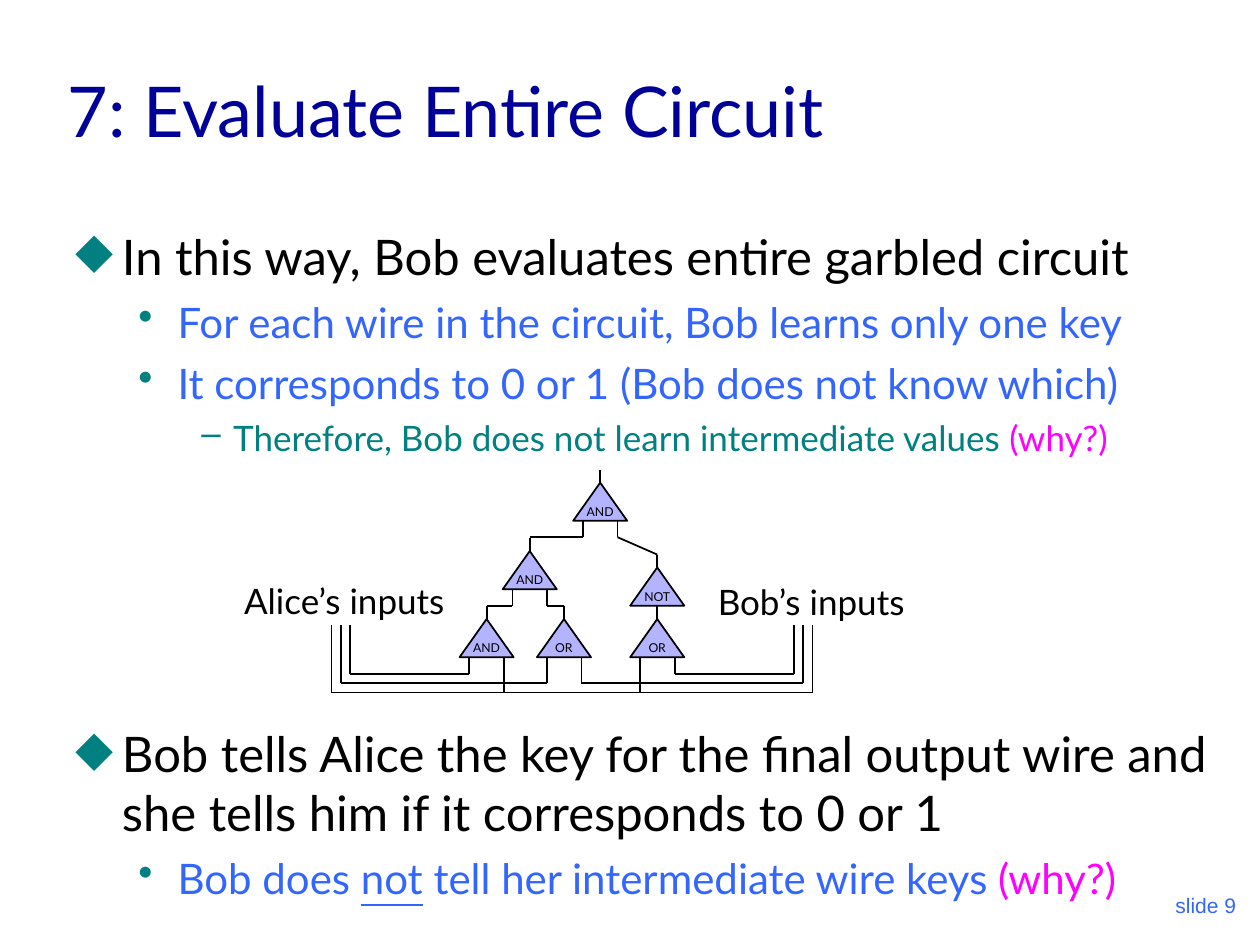
"""Build the slide on evaluating an entire garbled circuit."""
from dataclasses import dataclass

from lxml import etree
from pptx import Presentation
from pptx import util as u
from pptx.dml import color
from pptx.enum import shapes, text
from pptx.oxml import ns


@dataclass(frozen=True)
class Theme:
    """Fonts, colours and type sizes of the slide."""
    font: str = "Lato"
    footer_font: str = "Arial"
    title: str = "000099"
    ink: str = "000000"
    blue: str = "3366FF"
    teal: str = "008080"
    pink: str = "FF00FF"
    gate: str = "B3B3FF"
    title_size: float = 40
    label_size: float = 20
    footer_size: float = 12
    gate_size: float = 7
    line_width: float = 1


THEME = Theme()
LEVELS = [
    {"size": 28, "ink": THEME.ink, "bullet": "◆", "left": 0.94, "hang": 0.94, "before": 7},
    {"size": 24, "ink": THEME.blue, "bullet": "•", "left": 2.06, "hang": 0.79, "before": 6},
    {"size": 20, "ink": THEME.teal, "bullet": "–", "left": 3.18, "hang": 0.64, "before": 5},
]
GATE_WIDTH, GATE_HEIGHT = 1.09, 0.77
LEG_OFFSET, LEG_LENGTH, STEM_LENGTH = 0.35, 0.33, 0.26
INPUT_TOP, RAIL_GAP = 12.6, 0.19


def rgb(value):
    """Turn a hex string into a colour."""
    return color.RGBColor.from_string(value)


def apply_format(target, values):
    """Set every attribute named in a dict of format values."""
    for name, value in values.items():
        setattr(target, name, value)


def add_span(para, words, size, ink, font=THEME.font, **extra):
    """Append a formatted run to a paragraph."""
    span = para.add_run()
    span.text = words
    apply_format(span.font, {"name": font, "size": u.Pt(size), **extra})
    span.font.color.rgb = rgb(ink)


def add_box(page, left, top, width, height, **frame_format):
    """Add a text box and return its text frame."""
    box = page.shapes.add_textbox(u.Cm(left), u.Cm(top), u.Cm(width), u.Cm(height))
    apply_format(box.text_frame, {"word_wrap": True, **frame_format})
    return box.text_frame


def add_bullet(para, level):
    """Give a paragraph the indent, spacing and bullet of its level."""
    style = LEVELS[level]
    apply_format(para, {"level": level, "space_before": u.Pt(style["before"])})
    properties = para._p.get_or_add_pPr()
    properties.set("marL", str(u.Cm(style["left"])))
    properties.set("indent", str(-u.Cm(style["hang"])))
    tint = etree.SubElement(properties, ns.qn("a:buClr"))
    etree.SubElement(tint, ns.qn("a:srgbClr")).set("val", THEME.teal)
    etree.SubElement(properties, ns.qn("a:buChar")).set("char", style["bullet"])


def add_bullets(page, top, height, items):
    """Add a bulleted text box from (level, spans) items."""
    frame = add_box(page, 1.27, top, 23.7, height)
    for index, (level, spans) in enumerate(items):
        para = frame.add_paragraph() if index else frame.paragraphs[0]
        add_bullet(para, level)
        style = LEVELS[level]
        for words, changes in spans:
            add_span(para, words, **{"size": style["size"], "ink": style["ink"], **changes})


def add_label(page, words, left, top, width):
    """Add the name of a group of inputs."""
    para = add_box(page, left, top, width, 1.12, word_wrap=False).paragraphs[0]
    para.space_before = u.Pt(5)
    add_span(para, words, THEME.label_size, THEME.ink)


def add_wire(page, *points):
    """Draw straight wires through the points and return the last one."""
    for start, end in zip(points, points[1:]):
        wire = page.shapes.add_connector(
            shapes.MSO_CONNECTOR.STRAIGHT, *(u.Cm(value) for value in start + end))
        wire.line.width = u.Pt(THEME.line_width)
        wire.line.color.rgb = rgb(THEME.ink)
        etree.SubElement(wire._element.spPr, ns.qn("a:effectLst"))
    return wire


def add_gate(page, words, center, top, has_legs=True):
    """Add a gate with its stem and legs; return the leg ends, left then right."""
    gate = page.shapes.add_shape(
        shapes.MSO_SHAPE.ISOSCELES_TRIANGLE, u.Cm(center - GATE_WIDTH / 2), u.Cm(top),
        u.Cm(GATE_WIDTH), u.Cm(GATE_HEIGHT))
    gate.shadow.inherit = False
    gate.fill.solid()
    gate.fill.fore_color.rgb = rgb(THEME.gate)
    gate.line.color.rgb = rgb(THEME.ink)
    gate.line.width = u.Pt(THEME.line_width)
    apply_format(gate.text_frame, {
        "word_wrap": False, "vertical_anchor": text.MSO_ANCHOR.MIDDLE})
    para = gate.text_frame.paragraphs[0]
    apply_format(para, {"alignment": text.PP_ALIGN.CENTER, "space_before": u.Pt(1.8)})
    add_span(para, words, THEME.gate_size, THEME.ink)
    add_wire(page, (center, top - STEM_LENGTH), (center, top)).end_connect(gate, 0)
    base = top + GATE_HEIGHT
    ends = [(center + side * LEG_OFFSET, base + LEG_LENGTH) for side in (-1, 1)]
    if has_legs:
        for end in ends:
            add_wire(page, (end[0], base), end)
    return ends


def add_inputs(page, first, step, legs):
    """Lead a bundle of input wires along stacked rails to gate legs."""
    for index, leg in enumerate(legs):
        across = first + index * step
        rail = leg[1] + index * RAIL_GAP
        corner = (leg[0], rail)
        add_wire(page, (across, INPUT_TOP), (across, rail), corner)
        if index:
            add_wire(page, corner, leg)


def add_circuit(page):
    """Draw the gates and the wires between them."""
    low_and = add_gate(page, "AND", 9.81, 12.48)
    low_or = add_gate(page, "OR", 11.37, 12.48)
    root = add_gate(page, "AND", 12.1, 9.73)
    add_gate(page, "NOT", 13.25, 11.44, has_legs=False)
    right_or = add_gate(page, "OR", 13.25, 12.48)
    left_and = add_gate(page, "AND", 10.68, 11.11)
    add_wire(page, root[1], (13.25, 11.18))
    for leg, center in ((root[0], 10.68), (left_and[0], 9.81), (left_and[1], 11.37)):
        add_wire(page, leg, (center, leg[1]))
    add_label(page, "Alice’s inputs", 4.67, 11.56, 4.8)
    add_inputs(page, 7.06, -RAIL_GAP, [low_and[0], low_or[0], right_or[0]])
    add_label(page, "Bob’s inputs", 14.22, 11.58, 4.55)
    add_inputs(page, 16, RAIL_GAP, [right_or[1], low_or[1], low_and[1]])


def main():
    """Build and save the deck."""
    deck = Presentation()
    apply_format(deck, {"slide_width": u.Cm(25.4), "slide_height": u.Cm(19.05)})
    page = deck.slides.add_slide(deck.slide_layouts[6])
    bottom = {"vertical_anchor": text.MSO_ANCHOR.BOTTOM}
    title = add_box(page, 1.12, 0.64, 21.59, 2.54, **bottom).paragraphs[0]
    add_span(title, "7: Evaluate Entire Circuit", THEME.title_size, THEME.title)
    why = ("(why?)", {"ink": THEME.pink})
    add_bullets(page, 4.45, 7.2, [
        (0, [("In this way, Bob evaluates entire garbled circuit", {})]),
        (1, [("For each wire in the circuit, Bob learns only one key", {})]),
        (1, [("It corresponds to 0 or 1 (Bob does not know which)", {})]),
        (2, [("Therefore, Bob does not learn intermediate values ", {}), why]),
    ])
    add_circuit(page)
    add_bullets(page, 14.47, 4.1, [
        (0, [("Bob tells Alice the key for the final output wire and "
              "she tells him if it corresponds to 0 or 1", {})]),
        (1, [("Bob does ", {}), ("not", {"underline": True}),
             (" tell her intermediate wire keys ", {}), why]),
    ])
    footer = add_box(page, 19.89, 17.35, 5.28, 1.27, **bottom).paragraphs[0]
    apply_format(footer, {"alignment": text.PP_ALIGN.RIGHT, "space_before": u.Pt(7.5)})
    add_span(footer, "slide 9", THEME.footer_size, THEME.blue, THEME.footer_font)
    deck.save("out.pptx")


if __name__ == "__main__":
    main()
